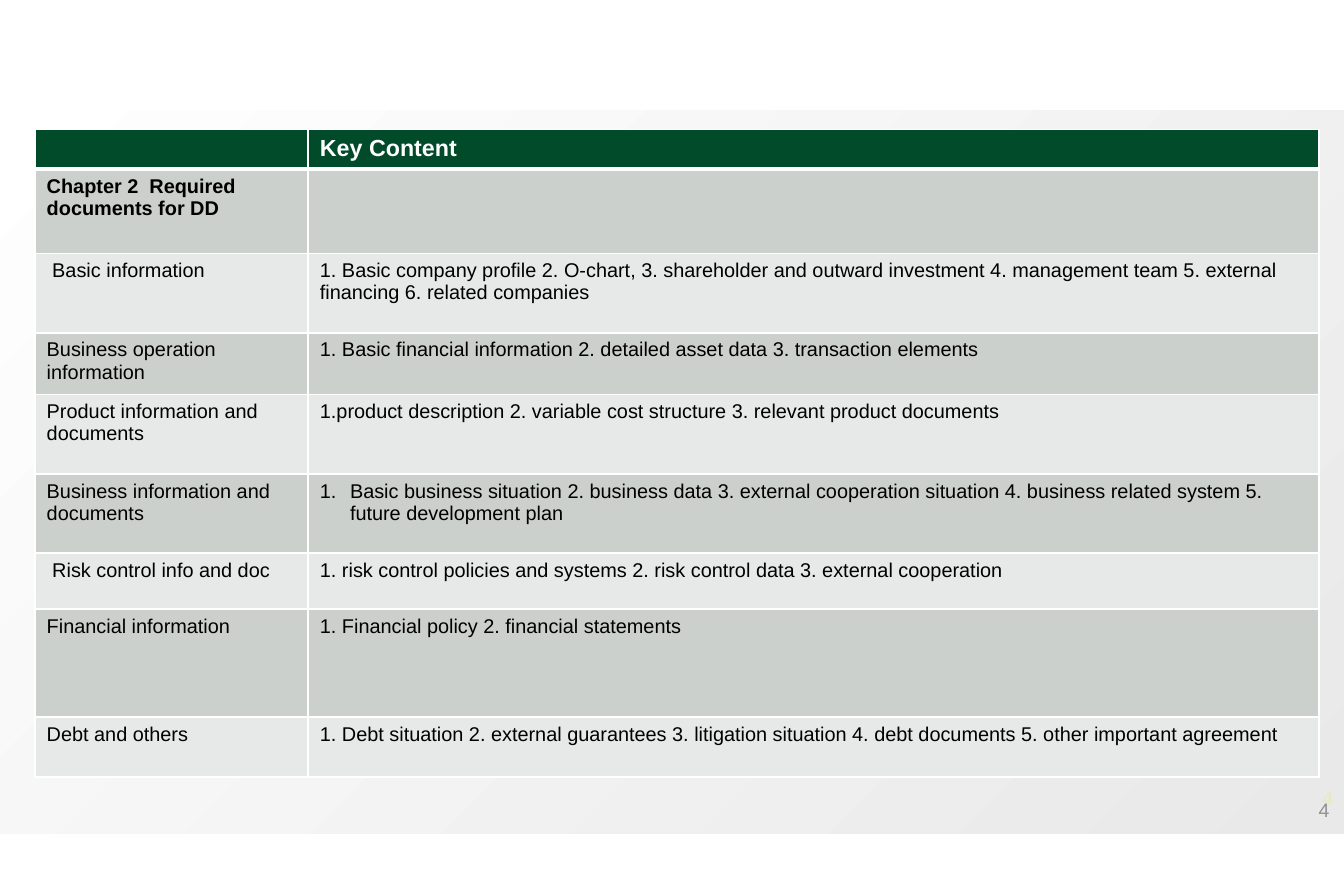
from lxml.etree import SubElement
from pptx import Presentation
from pptx.dml.color import RGBColor
from pptx.enum.shapes import MSO_SHAPE
from pptx.enum.text import PP_ALIGN
from pptx.oxml.ns import qn
from pptx.util import Cm, Pt

HEADER = ("", "Key Content")
CHAPTER = ("Chapter 2  Required documents for DD", "")
TOPICS = [
    (" Basic information",
     "1. Basic company profile 2. O-chart, 3. shareholder and outward investment "
     "4. management team 5. external financing 6. related companies"),
    ("Business operation information",
     "1. Basic financial information 2. detailed asset data 3. transaction elements"),
    ("Product information and documents",
     "1.product description 2. variable cost structure 3. relevant product documents"),
    ("Business information and documents",
     "Basic business situation 2. business data 3. external cooperation situation "
     "4. business related system 5. future development plan"),
    (" Risk control info and doc",
     "1. risk control policies and systems 2. risk control data 3. external cooperation"),
    ("Financial information", "1. Financial policy 2. financial statements"),
    ("Debt and others",
     "1. Debt situation 2. external guarantees 3. litigation situation "
     "4. debt documents 5. other important agreement"),
]
ROWS = [HEADER, CHAPTER, *TOPICS]
NUMBERED_CELL = (5, 1)
ROW_HEIGHTS = [0.83, 1.79, 1.69, 1.31, 1.69, 1.68, 1.19, 2.3, 1.27]
COLUMN_WIDTHS = [5.81, 21.5]
PAGE_NUMBERS = [
    ("4", (26.9, 16.61, 1.65, 0.71), (0.2, 0.1), dict(color="pale", bold=True)),
    ("4", (27.1, 16.84, 1.42, 0.76), (0.25, 0.13), dict(color="black")),
]
THEME = {
    "font": "Arial",
    "white": "FFFFFF", "black": "000000", "pale": "FFFF99", "shade": "DEDEDE",
    "header": "014B2A", "bands": ("CCD0CD", "E7E9E8"),
    "header_size": 14, "body_size": 12, "page_size": 11.8,
}


def rgb(name):
    return RGBColor.from_string(THEME.get(name, name))


def write(frame, text, size="body_size", color="black", bold=False,
          align=None, numbered=False):
    paragraph = frame.paragraphs[0]
    paragraph.alignment = align
    if not text:
        SubElement(paragraph._p, qn("a:endParaRPr"), sz=str(THEME[size] * 100))
        return
    run = paragraph.add_run()
    run.text = text
    run.font.name = THEME["font"]
    run.font.size = Pt(THEME[size])
    run.font.bold = bold
    run.font.color.rgb = rgb(color)
    if numbered:
        properties = paragraph._p.get_or_add_pPr()
        properties.set("marL", str(Cm(0.64)))
        properties.set("indent", str(-Cm(0.64)))
        SubElement(properties, qn("a:buFont"), typeface=THEME["font"])
        SubElement(properties, qn("a:buAutoNum"), type="arabicPeriod")


def add_panel(slide, left, top, width, height):
    panel = slide.shapes.add_shape(
        MSO_SHAPE.RECTANGLE, Cm(left), Cm(top), Cm(width), Cm(height))
    panel.shadow.inherit = False
    panel.line.fill.background()
    return panel


def fade_from_corner(fill):
    fill.gradient()
    for stop, color in zip(fill.gradient_stops, ("white", "shade")):
        stop.color.rgb = rgb(color)
    gradient = fill._xPr.find(qn("a:gradFill"))
    for color in gradient.iter(qn("a:srgbClr")):
        SubElement(color, qn("a:alpha"), val="65000")
    gradient.remove(gradient.find(qn("a:lin")))
    circle = SubElement(gradient, qn("a:path"), path="circle")
    SubElement(circle, qn("a:fillToRect"), r="100000", b="100000")


def border(cell, bottom):
    properties = cell._tc.get_or_add_tcPr()
    for index, (side, width) in enumerate(
            (("lnL", 1), ("lnR", 1), ("lnT", 1), ("lnB", bottom))):
        line = properties.makeelement(qn(f"a:{side}"), {"w": str(Pt(width))})
        properties.insert(index, line)
        SubElement(SubElement(line, qn("a:solidFill")), qn("a:srgbClr"),
                   val=THEME["white"])


def add_topics(slide):
    table = slide.shapes.add_table(
        len(ROWS), len(HEADER), Cm(0.74), Cm(2.75),
        Cm(sum(COLUMN_WIDTHS)), Cm(sum(ROW_HEIGHTS))).table
    for column, width in zip(table.columns, COLUMN_WIDTHS):
        column.width = Cm(width)
    for r, (texts, height) in enumerate(zip(ROWS, ROW_HEIGHTS)):
        table.rows[r].height = Cm(height)
        is_header = texts is HEADER
        for c, text in enumerate(texts):
            cell = table.cell(r, c)
            cell.fill.solid()
            cell.fill.fore_color.rgb = rgb(
                "header" if is_header else THEME["bands"][(r - 1) % 2])
            border(cell, bottom=3 if is_header else 1)
            write(cell.text_frame, text,
                  size="header_size" if is_header else "body_size",
                  color="white" if is_header else "black",
                  bold=is_header or texts is CHAPTER,
                  numbered=(r, c) == NUMBERED_CELL)


def main():
    deck = Presentation()
    deck.slide_width, deck.slide_height = Cm(28.58), Cm(19.05)
    slide = deck.slides.add_slide(deck.slide_layouts[6])

    for text, place, (side, edge), style in PAGE_NUMBERS:
        frame = slide.shapes.add_textbox(*map(Cm, place)).text_frame
        frame.word_wrap = True
        frame.margin_left = frame.margin_right = Cm(side)
        frame.margin_top = frame.margin_bottom = Cm(edge)
        write(frame, text, size="page_size", align=PP_ALIGN.RIGHT, **style)

    backdrop = add_panel(slide, 0, 2.34, 28.6, 15.39)
    fade_from_corner(backdrop.fill)
    title_band = add_panel(slide, 0.05, 0, 28.58, 2.31)
    title_band.fill.solid()
    title_band.fill.fore_color.rgb = rgb("white")

    add_topics(slide)
    deck.save("out.pptx")


if __name__ == "__main__":
    main()
